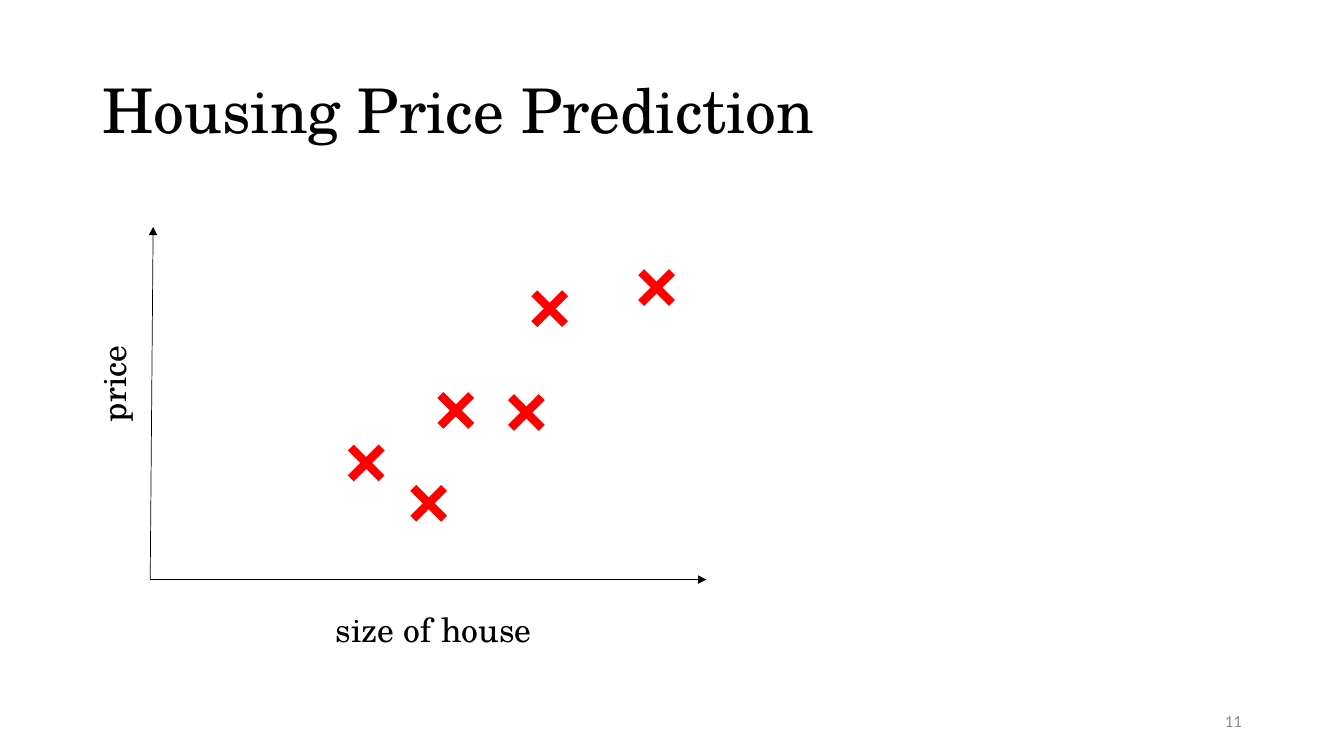
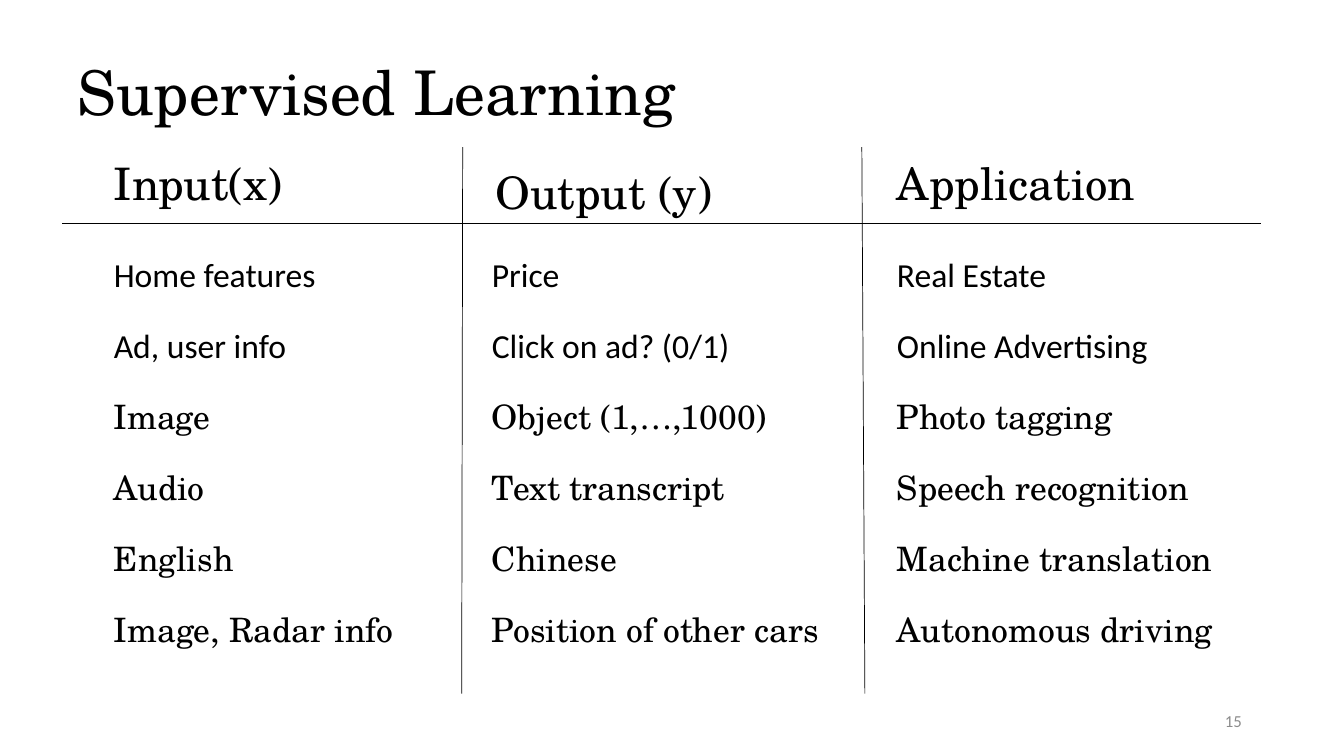
from typing import NamedTuple

from lxml import etree
from pptx import Presentation
from pptx import util as u
from pptx.dml.color import RGBColor
from pptx.enum import shapes, text as t
from pptx.oxml.ns import qn

SERIF, SANS = "TeX Gyre Schola", "Calibri"
BLACK, RED, GREY = "000000", "FF0000", "8C8C8C"
LABEL_HEIGHT = 36
CROSS_SIZE = 22
FIRST_ROW, ROW_STEP = 177.8, 50.7
TITLE_ONLY = 5


class Point(NamedTuple):
    x: float
    y: float


class Box(NamedTuple):
    left: float
    top: float
    width: float
    height: float


class Header(NamedTuple):
    text: str
    box: Box
    align: t.PP_ALIGN


class Entry(NamedTuple):
    text: str
    width: float


class Example(NamedTuple):
    font: str
    entries: tuple[Entry, Entry, Entry]


HOUSES = [
    Point(381.6, 209.5), Point(314.6, 282.2), Point(458, 194.4),
    Point(365, 283.7), Point(250.6, 319.7), Point(295.2, 348.5),
]
COLUMNS = (74.2, 344.2, 633.6)
HEADERS = [
    Header("Input(x)", Box(74.2, 108, 225.4, 67.7), t.PP_ALIGN.LEFT),
    Header("Output (y)", Box(344.2, 113.8, 174.2, 67.7), t.PP_ALIGN.CENTER),
    Header("Application", Box(633.6, 108, 225.4, 67.7), t.PP_ALIGN.LEFT),
]
EXAMPLES = [
    Example(SANS, (Entry("Home features", 179.3), Entry("Price", 72),
                   Entry("Real Estate", 145.4))),
    Example(SANS, (Entry("Ad, user info", 157.7), Entry("Click on ad? (0/1)", 208.1),
                   Entry("Online Advertising", 227.5))),
    Example(SERIF, (Entry("Image", 84.2), Entry("Object (1,…,1000)", 215.3),
                    Entry("Photo tagging", 169.9))),
    Example(SERIF, (Entry("Audio", 80.6), Entry("Text transcript", 185),
                    Entry("Speech recognition", 225.4))),
    Example(SERIF, (Entry("English", 100.8), Entry("Chinese", 104.4),
                    Entry("Machine translation", 241.9))),
    Example(SERIF, (Entry("Image, Radar info", 216.7),
                    Entry("Position of other cars", 252),
                    Entry("Autonomous driving", 241.9))),
]


def rgb(color: str) -> RGBColor:
    return RGBColor.from_string(color)


def write(frame, words: str, *, size: float = 24, font: str = SERIF,
          color: str = BLACK, align=t.PP_ALIGN.LEFT, anchor=t.MSO_ANCHOR.TOP,
          wrap: bool = True, grow: bool = False, spacing: float = 1) -> None:
    frame.word_wrap = wrap
    frame.auto_size = (t.MSO_AUTO_SIZE.SHAPE_TO_FIT_TEXT if grow
                       else t.MSO_AUTO_SIZE.NONE)
    frame.vertical_anchor = anchor
    paragraph = frame.paragraphs[0]
    paragraph.alignment = align
    paragraph.line_spacing = spacing
    run = paragraph.add_run()
    run.text = words
    run.font.size = u.Pt(size)
    run.font.name = font
    run.font.color.rgb = rgb(color)


def add_label(slide, words: str, box: Box, *, rotation: float = 0, **style) -> None:
    label = slide.shapes.add_textbox(*map(u.Pt, box))
    label.rotation = rotation
    write(label.text_frame, words, **style)


def add_line(parent, start: Point, end: Point, *, color: str = BLACK,
             width: float = 0.5, arrow: bool = False) -> None:
    line = parent.add_connector(shapes.MSO_CONNECTOR.STRAIGHT,
                                *map(u.Pt, (*start, *end)))
    line.line.color.rgb = rgb(color)
    line.line.width = u.Pt(width)
    properties = line._element.spPr
    if arrow:
        etree.SubElement(properties.find(qn("a:ln")), qn("a:tailEnd"), type="triangle")
    etree.SubElement(properties, qn("a:effectLst"))


def add_cross(slide, corner: Point) -> None:
    cross = slide.shapes.add_group_shape().shapes
    left, top = corner
    right, bottom = left + CROSS_SIZE, top + CROSS_SIZE
    add_line(cross, Point(left, top), Point(right, bottom), color=RED, width=6)
    add_line(cross, Point(left, bottom), Point(right, top), color=RED, width=6)


def add_slide(deck, heading: str, corner: Point, number: int):
    slide = deck.slides.add_slide(deck.slide_layouts[TITLE_ONLY])
    title = slide.shapes.title
    title.left, title.top = map(u.Pt, corner)
    title.width, title.height = u.Pt(828), u.Pt(104.4)
    write(title.text_frame, heading, size=44, anchor=t.MSO_ANCHOR.MIDDLE, spacing=0.9)
    add_label(slide, str(number), Box(678.2, 500.4, 216, 28.8), size=12, font=SANS,
              color=GREY, align=t.PP_ALIGN.RIGHT, anchor=t.MSO_ANCHOR.MIDDLE)
    return slide


def add_housing(deck) -> None:
    slide = add_slide(deck, "Housing Price Prediction", Point(66, 28.8), 11)
    origin = Point(107.3, 414)
    add_line(slide.shapes, origin, Point(109.4, 162), arrow=True)
    add_line(slide.shapes, origin, Point(504.7, 414), arrow=True)
    add_label(slide, "size of house", Box(232.6, 431.3, 155.5, LABEL_HEIGHT),
              wrap=False, grow=True)
    add_label(slide, "price", Box(46.1, 255.6, 69.8, LABEL_HEIGHT),
              rotation=270, wrap=False, grow=True)
    for house in HOUSES:
        add_cross(slide, house)


def add_supervised(deck) -> None:
    slide = add_slide(deck, "Supervised Learning", Point(48.2, 15.8), 15)
    add_line(slide.shapes, Point(44.6, 159.8), Point(900.7, 159.8))
    add_line(slide.shapes, Point(615.6, 105.1), Point(617.8, 495.4))
    add_line(slide.shapes, Point(330.5, 105.1), Point(329.8, 495.4))
    for header in HEADERS:
        add_label(slide, header.text, header.box, size=32, align=header.align, grow=True)
    for row, example in enumerate(EXAMPLES):
        top = FIRST_ROW + row * ROW_STEP
        for left, entry in zip(COLUMNS, example.entries):
            add_label(slide, entry.text, Box(left, top, entry.width, LABEL_HEIGHT),
                      font=example.font, wrap=False, grow=True)


def main() -> None:
    deck = Presentation()
    deck.slide_width, deck.slide_height = u.Pt(960), u.Pt(540)
    add_housing(deck)
    add_supervised(deck)
    deck.save("out.pptx")


if __name__ == "__main__":
    main()
